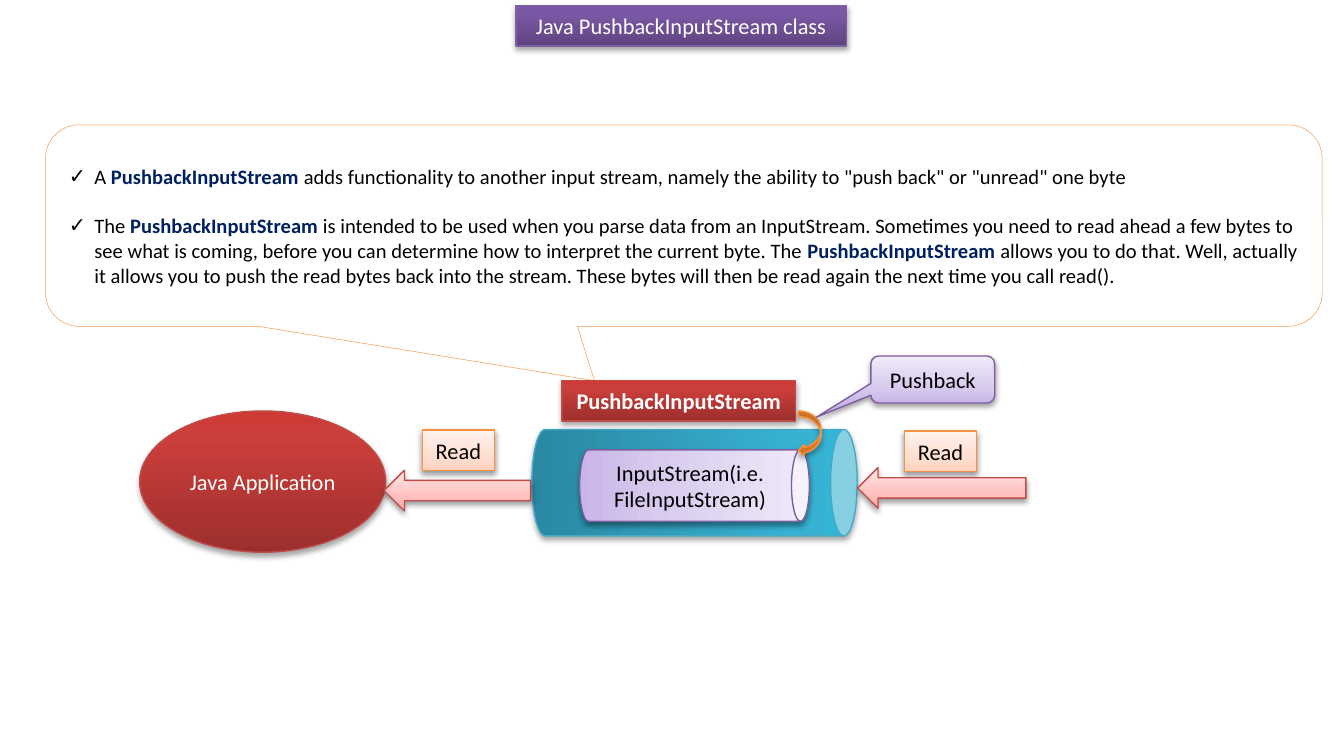
from dataclasses import dataclass

import lxml.etree
import pptx
import pptx.dml.color
import pptx.enum.shapes
import pptx.enum.text
import pptx.oxml.ns
import pptx.util

Cm = pptx.util.Cm
Pt = pptx.util.Pt
qn = pptx.oxml.ns.qn
ShapeType = pptx.enum.shapes.MSO_SHAPE
Align = pptx.enum.text.PP_ALIGN


@dataclass(frozen=True)
class Paint:
    stops: tuple
    line: str
    text: str
    opacity: int


@dataclass(frozen=True)
class Theme:
    font: str = "Calibri"
    label_size: int = 12
    body_size: int = 11
    body_gap: float = 13.4
    body: str = "000000"
    keyword: str = "002060"
    callout_line: str = "F79646"
    shadow: str = "000000"
    purple: Paint = Paint(((0, "5F4480"), (80, "7B58A6"), (100, "7C57A8")), "7D60A0", "FFFFFF", 35)
    red: Paint = Paint(((0, "9C2F2D"), (80, "CB3E3A"), (100, "CE3B37")), "BF4C48", "FFFFFF", 35)
    teal: Paint = Paint(((0, "2A88A2"), (80, "37B1D2"), (100, "34B4D6")), "46AAC5", "FFFFFF", 35)
    orange: Paint = Paint(((0, "CC6E20"), (80, "FF9034"), (100, "FF9136")), "F69240", "FFFFFF", 35)
    lilac: Paint = Paint(((0, "C9B5E8"), (35, "D8CBEE"), (100, "F0EAF9")), "7D60A0", "000000", 38)
    peach: Paint = Paint(((0, "FFD2BD"), (35, "FFDED0"), (100, "FFF2ED")), "F69240", "000000", 38)
    pink: Paint = Paint(((0, "FFA6A5"), (35, "FFC0BF"), (100, "FFE7E7")), "BF4C48", "000000", 38)


class SlideBuilder:
    def __init__(self, slide, theme):
        self.slide = slide
        self.theme = theme

    def color(self, value):
        return pptx.dml.color.RGBColor.from_string(value)

    def element(self, parent, tag, **attributes):
        return lxml.etree.SubElement(parent, qn(tag), {key: str(value) for key, value in attributes.items()})

    def place(self, shape, box):
        shape.left, shape.top, shape.width, shape.height = (Cm(length) for length in box)

    def outline(self, shape, color, width):
        shape.line.color.rgb = self.color(color)
        shape.line.width = Pt(width)
        shape.shadow.inherit = False

    def paint(self, shape, paint):
        shape.fill.gradient()
        shape.fill.gradient_angle = 90
        properties = shape._element.spPr
        stop_list = properties.find(".//" + qn("a:gsLst"))
        stop_list.clear()
        for position, color in paint.stops:
            stop = self.element(stop_list, "a:gs", pos=position * 1000)
            self.element(stop, "a:srgbClr", val=color)
        self.outline(shape, paint.line, 0.75)
        shadow = self.element(
            properties.find(qn("a:effectLst")), "a:outerShdw",
            blurRad=Pt(3.1), dist=Pt(1.8), dir=5400000, rotWithShape=0)
        shadow_color = self.element(shadow, "a:srgbClr", val=self.theme.shadow)
        self.element(shadow_color, "a:alpha", val=paint.opacity * 1000)

    def run(self, paragraph, text, size, color, bold=False):
        run = paragraph.add_run()
        run.text = text
        run.font.name = self.theme.font
        run.font.size = Pt(size)
        run.font.bold = bold
        run.font.color.rgb = self.color(color)

    def label(self, shape, text, color, bold=False, wrap=True):
        frame = shape.text_frame
        frame.auto_size = pptx.enum.text.MSO_AUTO_SIZE.NONE
        frame.word_wrap = wrap
        frame.vertical_anchor = pptx.enum.text.MSO_ANCHOR.MIDDLE
        paragraph = frame.paragraphs[0]
        paragraph.alignment = Align.CENTER
        self.run(paragraph, text, self.theme.label_size, color, bold)

    def title(self, box, text, paint):
        shape = self.slide.shapes.title
        self.place(shape, box)
        self.paint(shape, paint)
        self.label(shape, text, paint.text)

    def bullets(self, box, items):
        shape = self.slide.placeholders[1]
        self.place(shape, box)
        frame = shape.text_frame
        frame.auto_size = pptx.enum.text.MSO_AUTO_SIZE.NONE
        frame.word_wrap = True
        frame.vertical_anchor = pptx.enum.text.MSO_ANCHOR.MIDDLE
        for index, item in enumerate(items):
            paragraph = frame.add_paragraph() if index else frame.paragraphs[0]
            properties = paragraph._p.get_or_add_pPr()
            properties.set("marL", str(Cm(0.48)))
            properties.set("indent", str(-Cm(0.48)))
            self.element(properties, "a:buChar", char="✓")
            paragraph.alignment = Align.LEFT
            paragraph.space_before = Pt(self.theme.body_gap if index else 0)
            for text, is_keyword in item:
                color = self.theme.keyword if is_keyword else self.theme.body
                self.run(paragraph, text, self.theme.body_size, color, is_keyword)

    def shape(self, kind, box, paint, text="", bold=False, wrap=True):
        shape = self.slide.shapes.add_shape(kind, *(Cm(length) for length in box))
        self.paint(shape, paint)
        if text:
            self.label(shape, text, paint.text, bold, wrap)
        return shape

    def pipe(self, box, paint, text=""):
        shape = self.shape(ShapeType.CAN, box, paint, text)
        shape.rotation = 90
        shape.text_frame._txBody.bodyPr.set("vert", "vert270")

    def point(self, shape, x, y):
        shape.adjustments[0] = x
        shape.adjustments[1] = y

    def open_callout(self, box, x, y):
        shape = self.slide.shapes.add_shape(
            ShapeType.ROUNDED_RECTANGULAR_CALLOUT, *(Cm(length) for length in box))
        shape.fill.background()
        self.outline(shape, self.theme.callout_line, 0.25)
        self.point(shape, x, y)


def main():
    presentation = pptx.Presentation()
    presentation.slide_width = Cm(25.4)
    presentation.slide_height = Cm(13.97)
    slide = presentation.slides.add_slide(presentation.slide_layouts[1])
    theme = Theme()
    builder = SlideBuilder(slide, theme)

    builder.title((9.75, 0.1, 6.25, 0.77), "Java PushbackInputStream class", theme.purple)

    keyword = ("PushbackInputStream", True)
    builder.bullets((1.05, 2.36, 23.76, 3.81), (
        (("A ", False), keyword,
         (' adds functionality to another input stream, namely the ability to "push back" or "unread" one byte', False)),
        (("The ", False), keyword,
         (" is intended to be used when you parse data from an InputStream. Sometimes you need to read ahead "
          "a few bytes to see what is coming, before you can determine how to interpret the current byte. The ", False),
         keyword,
         (" allows you to do that. Well, actually it allows you to push the read bytes back into the stream. "
          "These bytes will then be read again the next time you call read().", False)),
    ))
    builder.open_callout((0.86, 2.36, 24.13, 3.81), -0.07, 0.77)

    builder.pipe((12.12, 6.05, 2.01, 6.15), theme.teal)
    builder.shape(ShapeType.OVAL, (2.64, 7.77, 4.65, 2.67), theme.red, "Java Application")
    for left, top in ((17.09, 8.15), (7.98, 8.13)):
        builder.shape(ShapeType.RECTANGLE, (left, top, 1.37, 0.77), theme.peach, "Read", wrap=False)
    builder.pipe((12.45, 7.01, 1.35, 4.34), theme.lilac, "InputStream(i.e. FileInputStream)")
    builder.shape(ShapeType.RECTANGLE, (10.62, 7.19, 4.42, 0.77), theme.red,
                  "PushbackInputStream", bold=True, wrap=False)
    for left, top, width in ((16.21, 8.84, 3.18), (7.26, 8.89, 2.77)):
        builder.shape(ShapeType.LEFT_ARROW, (left, top, width, 0.77), theme.pink)
    builder.shape(ShapeType.CURVED_LEFT_ARROW, (15.09, 7.77, 0.43, 0.86), theme.orange)
    pushback = builder.shape(ShapeType.ROUNDED_RECTANGULAR_CALLOUT, (16.46, 6.73, 2.34, 0.89),
                             theme.lilac, "Pushback")
    builder.point(pushback, -0.94, 0.8)

    presentation.save("out.pptx")


if __name__ == "__main__":
    main()
